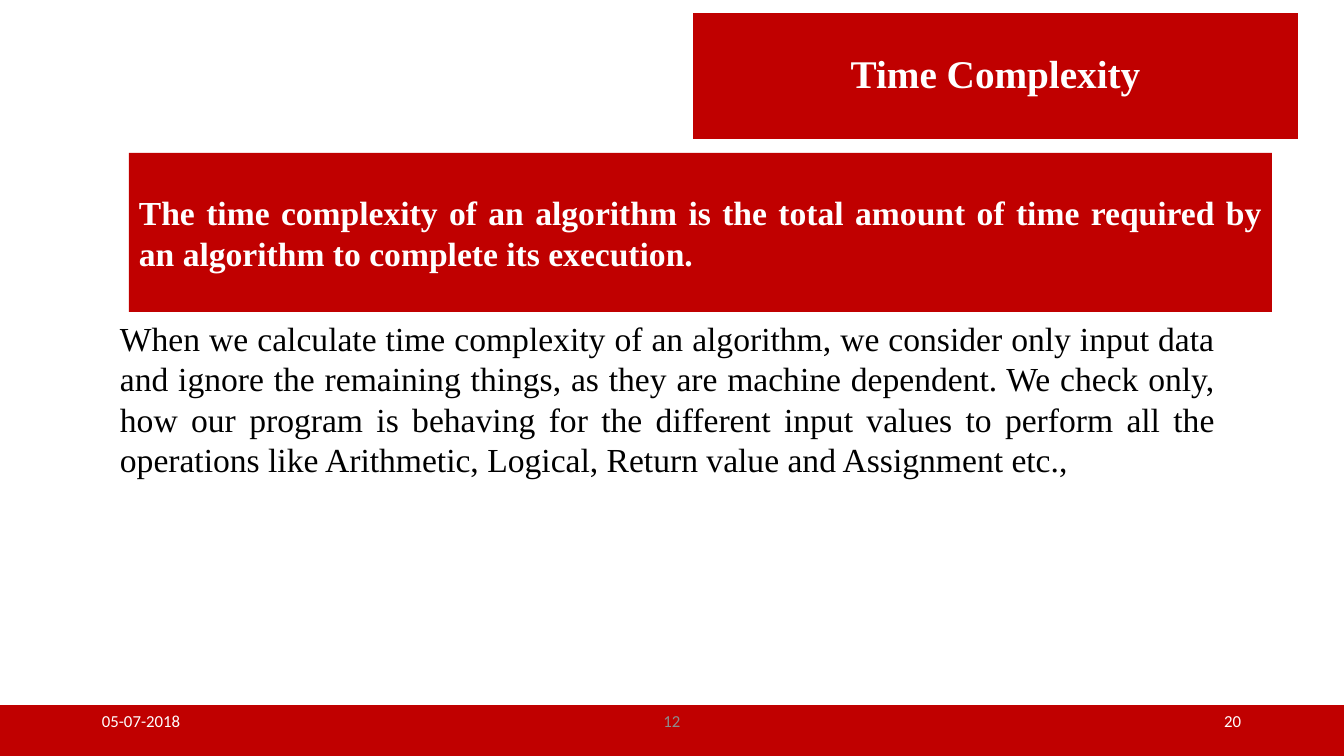
from dataclasses import dataclass
from pptx import Presentation
from pptx.dml.color import RGBColor
from pptx.enum.shapes import MSO_SHAPE
from pptx.enum.text import MSO_ANCHOR, PP_ALIGN
from pptx.util import Pt

SCALE = 914400 / 100.8


def emu(*pixels):
    return [round(n * SCALE) for n in pixels]


@dataclass(frozen=True)
class Theme:
    red: str = "C00000"
    white: str = "FFFFFF"
    black: str = "000000"
    gray: str = "8C8C8C"
    serif: str = "Times New Roman"
    sans: str = "Calibri"
    title: int = 28
    body: int = 24
    small: int = 12


class Deck:
    """Hold the theme and the current slide, and draw its elements."""

    def __init__(self, theme, slide):
        self.theme = theme
        self.slide = slide

    def bar(self, box, edge=False):
        shape = self.slide.shapes.add_shape(MSO_SHAPE.RECTANGLE, *emu(*box))
        shape.shadow.inherit = False
        red = RGBColor.from_string(self.theme.red)
        shape.fill.solid()
        shape.fill.fore_color.rgb = red
        if edge:
            shape.line.color.rgb = red
            shape.line.width = Pt(1)
        else:
            shape.line.fill.background()
        return shape

    def set_text(self, shape, text, size, color, align, bold=False, face=None,
                 anchor=MSO_ANCHOR.MIDDLE, space=None):
        frame = shape.text_frame
        frame.word_wrap = True
        frame.vertical_anchor = anchor
        para = frame.paragraphs[0]
        para.text = text
        para.alignment = align
        para.line_spacing = space
        font = para.font
        font.name = face or self.theme.serif
        font.size = Pt(size)
        font.bold = bold
        font.color.rgb = RGBColor.from_string(color)

    def panel(self, box, text, size, align, space=None):
        self.set_text(self.bar(box), text, size, self.theme.white, align,
                      bold=True, space=space)

    def label(self, box, text, size, color, align, **style):
        shape = self.slide.shapes.add_textbox(*emu(*box))
        self.set_text(shape, text, size, color, align, **style)


theme = Theme()
show = Presentation()
show.slide_width, show.slide_height = emu(1344, 756)
deck = Deck(theme, show.slides.add_slide(show.slide_layouts[6]))

deck.bar((0, 706, 1344, 50), edge=True)
deck.panel((693, 13, 605, 126), "Time Complexity", theme.title,
           PP_ALIGN.CENTER, space=0.9)
deck.panel((129, 153, 1143, 159),
           "The time complexity of an algorithm is the total amount of time "
           "required by an algorithm to complete its execution.",
           theme.body, PP_ALIGN.JUSTIFY)
deck.label((110, 313, 1115, 173),
           "When we calculate time complexity of an algorithm, we consider "
           "only input data and ignore the remaining things, as they are "
           "machine dependent. We check only, how our program is behaving "
           "for the different input values to perform all the operations "
           "like Arithmetic, Logical, Return value and Assignment etc.,",
           theme.body, theme.black, PP_ALIGN.JUSTIFY, anchor=MSO_ANCHOR.TOP)

for left, width, text, color, align in (
    (92, 302, "05-07-2018", theme.white, PP_ALIGN.LEFT),
    (445, 454, "12", theme.gray, PP_ALIGN.CENTER),
    (949, 302, "20", theme.white, PP_ALIGN.RIGHT),
):
    deck.label((left, 701, width, 40), text, theme.small, color, align,
               face=theme.sans)

show.save("out.pptx")
